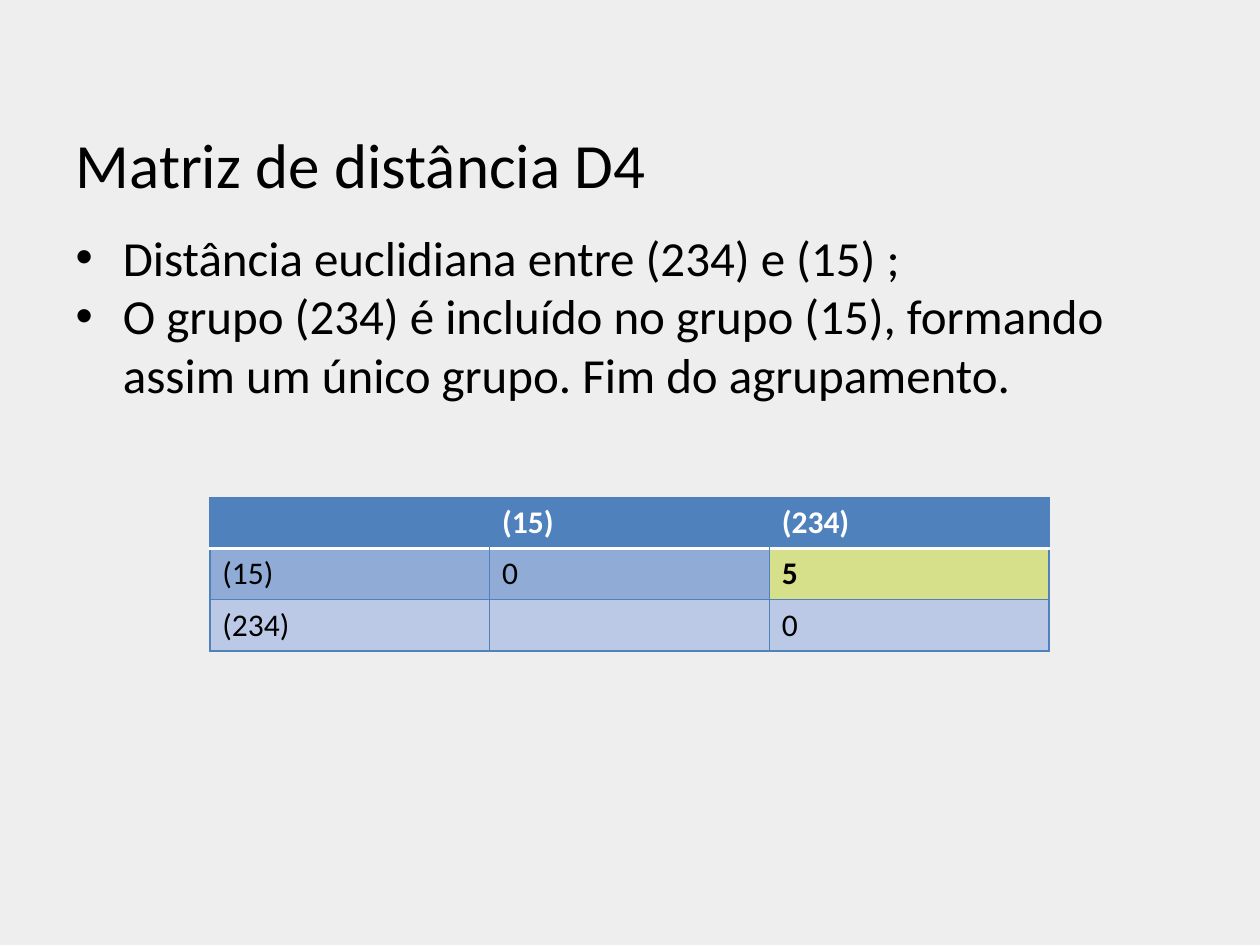
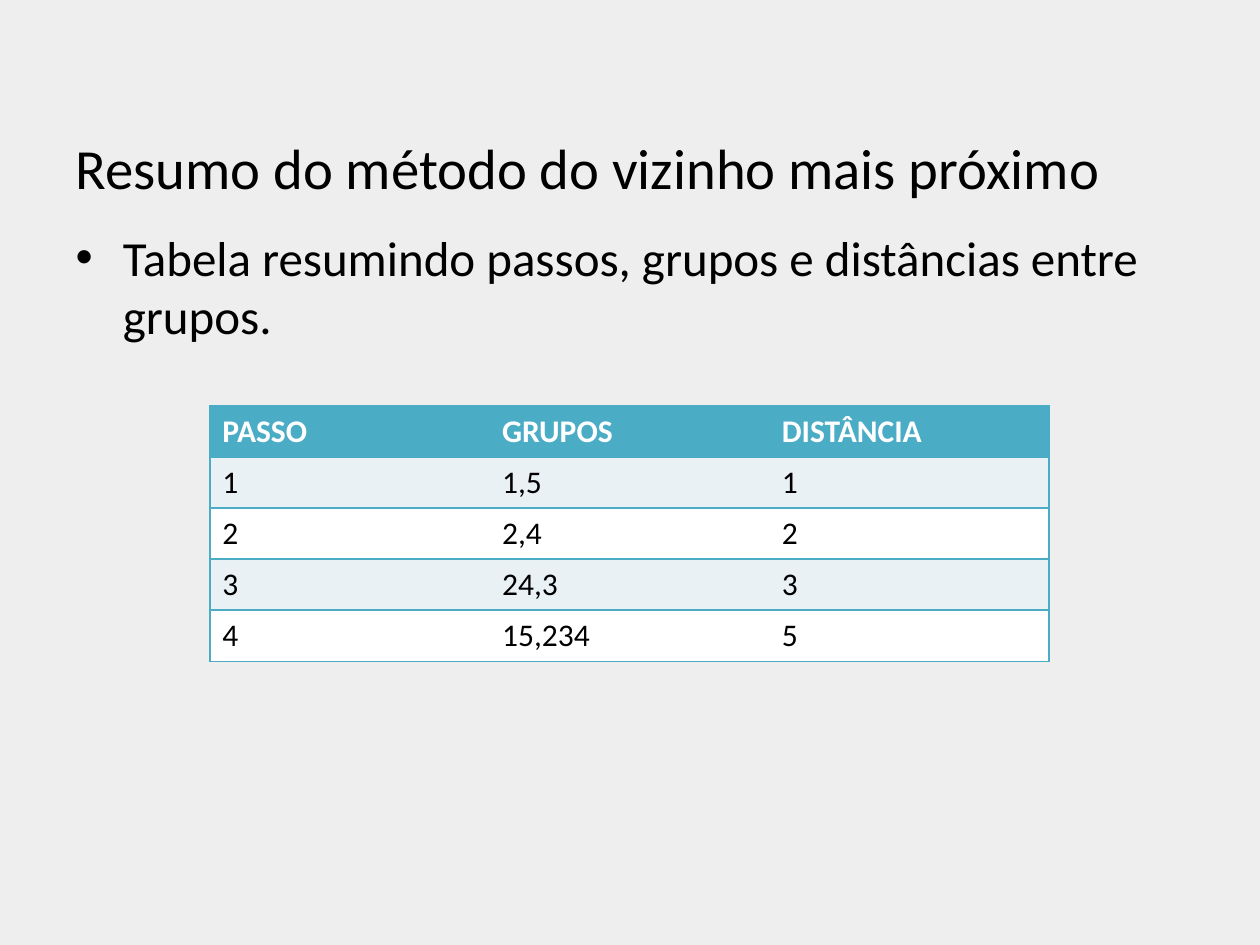
from lxml.etree import SubElement
from pptx import Presentation
from pptx.dml.color import RGBColor
from pptx.enum.text import MSO_ANCHOR, MSO_AUTO_SIZE, PP_ALIGN
from pptx.oxml.ns import qn
from pptx.util import Cm, Pt

FONT = "Calibri"
PAGE = RGBColor(0xEE, 0xEE, 0xEE)
BLACK = RGBColor(0, 0, 0)
WHITE = RGBColor(0xFF, 0xFF, 0xFF)
BLUE = RGBColor(0x4F, 0x81, 0xBD)
MID = RGBColor(0x90, 0xAC, 0xD6)
PALE = RGBColor(0xBB, 0xC9, 0xE6)
LIME = RGBColor(0xD6, 0xDF, 0x8A)
TEAL = RGBColor(0x4B, 0xAC, 0xC6)
ICE = RGBColor(0xE9, 0xF1, 0xF5)

SLIDES = [
    {
        "title": "Matriz de distância D4",
        "size": 36,
        "points": [
            "Distância euclidiana entre (234) e (15) ;",
            "O grupo (234) é incluído no grupo (15), formando assim um único grupo. Fim do agrupamento.",
        ],
        "top": 10.03,
        "rows": [["", "(15)", "(234)"], ["(15)", "0", "5"], ["(234)", "", "0"]],
        "main": BLUE,
        "bands": [MID, PALE],
        "rule": (WHITE, 2),
        "grid": True,
        "mark": (1, 2),
    },
    {
        "title": "Resumo do método do vizinho mais próximo",
        "size": 32.4,
        "points": ["Tabela resumindo passos, grupos e distâncias entre grupos."],
        "top": 8.18,
        "rows": [
            ["PASSO", "GRUPOS", "DISTÂNCIA"],
            ["1", "1,5", "1"],
            ["2", "2,4", "2"],
            ["3", "24,3", "3"],
            ["4", "15,234", "5"],
        ],
        "main": TEAL,
        "bands": [ICE, WHITE],
        "rule": (TEAL, 1),
        "grid": False,
        "mark": None,
    },
]


def style(par, size, color, bold=False):
    for run in par.runs:
        run.font.name = FONT
        run.font.size = Pt(size)
        run.font.bold = bold
        run.font.color.rgb = color


def border(cell, side, line):
    props = cell._tc.get_or_add_tcPr()
    edge = SubElement(props, qn("a:ln" + side))
    if line is None:
        SubElement(edge, qn("a:noFill"))
        return
    color, width = line
    edge.set("w", str(Pt(width)))
    fill = SubElement(edge, qn("a:solidFill"))
    SubElement(fill, qn("a:srgbClr")).set("val", str(color))


deck = Presentation()
deck.slide_width, deck.slide_height = Cm(25.4), Cm(19.05)
back = deck.slide_master.background.fill
back.solid()
back.fore_color.rgb = PAGE

for data in SLIDES:
    slide = deck.slides.add_slide(deck.slide_layouts[1])

    title = slide.shapes.title
    title.left, title.top, title.width, title.height = Cm(1.27), Cm(1), Cm(22.86), Cm(3.18)
    frame = title.text_frame
    frame.text = data["title"]
    frame.vertical_anchor = MSO_ANCHOR.BOTTOM
    frame.auto_size = MSO_AUTO_SIZE.NONE
    frame.paragraphs[0].alignment = PP_ALIGN.LEFT
    style(frame.paragraphs[0], data["size"], BLACK)

    body = slide.placeholders[1]
    body.left, body.top, body.width, body.height = Cm(1.27), Cm(4.45), Cm(22.86), Cm(12.57)
    frame = body.text_frame
    frame.text = "\n".join(data["points"])
    frame.auto_size = MSO_AUTO_SIZE.NONE
    for par in frame.paragraphs:
        par.space_before = Pt(0)
        style(par, 28, BLACK)

    rows = data["rows"]
    count, width = len(rows), len(rows[0])
    table = slide.shapes.add_table(
        count, width, Cm(4.23), Cm(data["top"]), Cm(5.64 * width), Cm(1.03 * count)
    ).table
    line = (data["main"], 1)
    for r, row in enumerate(rows):
        for c, text in enumerate(row):
            cell = table.cell(r, c)
            head = r == 0
            mark = (r, c) == data["mark"]
            inner = line if data["grid"] and not head else None
            border(cell, "L", line if c == 0 else inner)
            border(cell, "R", line if c == width - 1 else inner)
            border(cell, "T", data["rule"] if r == 1 else line)
            border(cell, "B", data["rule"] if head else line)
            cell.fill.solid()
            band = data["main"] if head else data["bands"][(r - 1) % 2]
            cell.fill.fore_color.rgb = LIME if mark else band
            cell.text_frame.text = text
            style(cell.text_frame.paragraphs[0], 18, WHITE if head else BLACK, head or mark)

deck.save("out.pptx")
